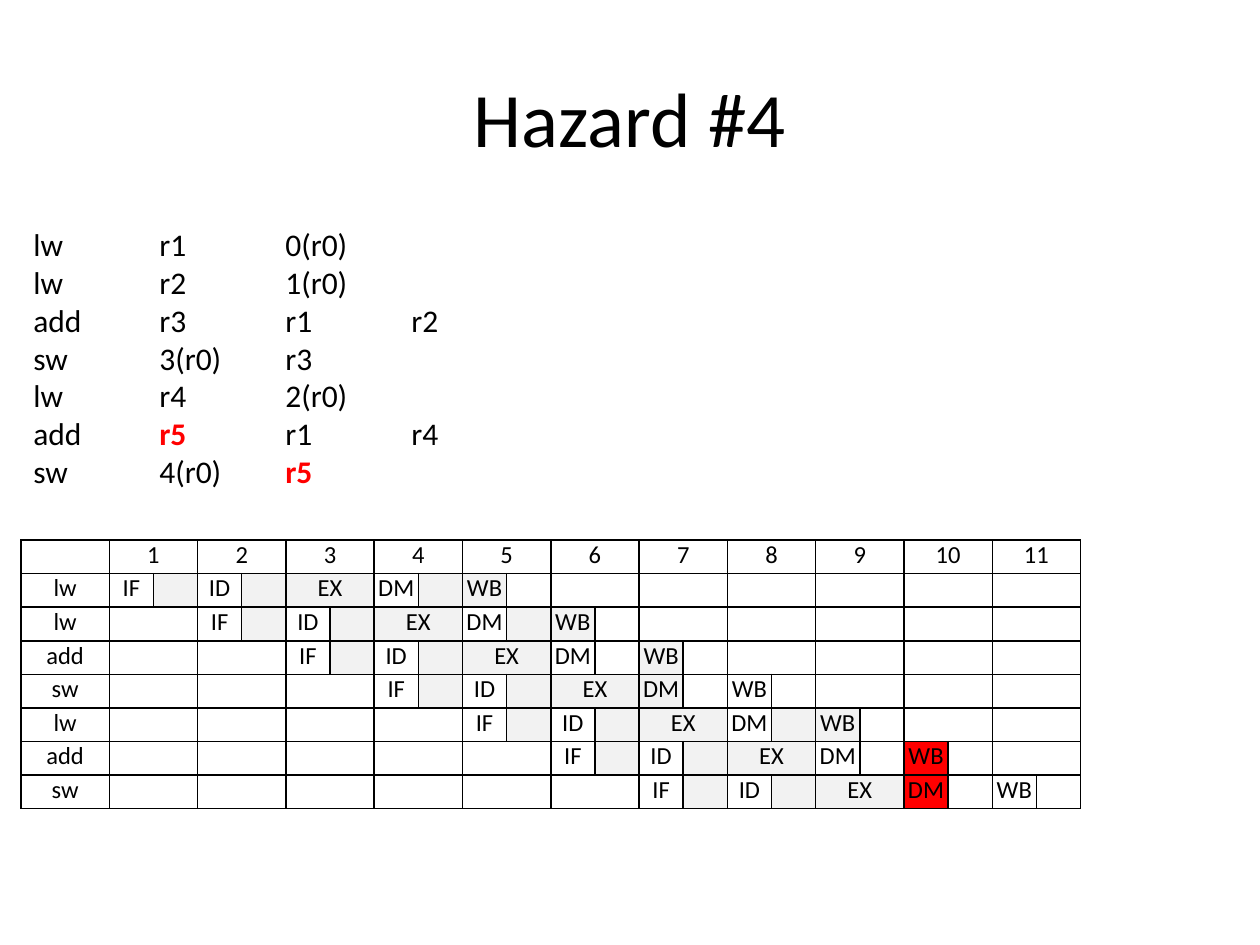
from lxml import etree
from pptx import Presentation
from pptx.dml.color import RGBColor
from pptx.enum.text import MSO_ANCHOR, PP_ALIGN
from pptx.oxml.ns import qn
from pptx.util import Pt

CENTER, LEFT = PP_ALIGN.CENTER, PP_ALIGN.LEFT
TOP, MIDDLE = MSO_ANCHOR.TOP, MSO_ANCHOR.MIDDLE
FONT, BLACK, RED, GREY = "Calibri", "000000", "FF0000", "F2F2F2"

# Content
TITLE = "Hazard #4"
HAZARD_REGISTER = "r5"
PROGRAM = [
    ["lw", "r1", "0(r0)"],
    ["lw", "r2", "1(r0)"],
    ["add", "r3", "r1", "r2"],
    ["sw", "3(r0)", "r3"],
    ["lw", "r4", "2(r0)"],
    ["add", "r5", "r1", "r4"],
    ["sw", "4(r0)", "r5"],
]
CYCLES = 11
STAGES = ["IF", "ID", "EX", "DM", "WB"]
# Fill of the first and second half of each stage
COMMON_FILLS = {"IF": (None, GREY), "ID": (None, GREY), "EX": (GREY, GREY)}
STAGE_FILLS = {
    "lw": {"DM": (None, GREY), "WB": (GREY, None)},
    "add": {"DM": (None, None), "WB": (GREY, None)},
    "sw": {"DM": (GREY, None), "WB": (None, None)},
}
# Instruction number and stage in conflict
HAZARDS = {(6, "WB"), (7, "DM")}

# Places in px: left, top, width, height
TITLE_BOX = (63, 38, 1134, 157)
PROGRAM_BOX = (21, 219, 630, 280)
TABLE_BOX = (21, 540, 1060, 269)
TAB_STEP = 126


def px(value):
    return round(value * 914400 / 126)


def color(value):
    return RGBColor.from_string(value)


def add_run(paragraph, text, size, rgb=BLACK, bold=False):
    run = paragraph.add_run()
    run.text = text
    for name, value in {"name": FONT, "size": Pt(size), "bold": bold}.items():
        setattr(run.font, name, value)
    run.font.color.rgb = color(rgb)


def add_text_box(slide, box, anchor):
    frame = slide.shapes.add_textbox(*map(px, box)).text_frame
    frame.word_wrap = True
    frame.vertical_anchor = anchor
    return frame


def add_tab_stops(paragraph, count):
    properties = paragraph._p.get_or_add_pPr()
    tab_list = etree.SubElement(properties, qn("a:tabLst"))
    for number in range(1, count + 1):
        position = str(px(number * TAB_STEP))
        etree.SubElement(tab_list, qn("a:tab"), pos=position, algn="l")


def add_borders(cell):
    properties = cell._tc.get_or_add_tcPr()
    for side in ("a:lnL", "a:lnR", "a:lnT", "a:lnB"):
        line = etree.SubElement(properties, qn(side), w=str(Pt(1)))
        fill = etree.SubElement(line, qn("a:solidFill"))
        etree.SubElement(fill, qn("a:srgbClr"), val=BLACK)


def format_cell(cell):
    add_borders(cell)
    for side in ("left", "right", "top", "bottom"):
        setattr(cell, f"margin_{side}", 0)
    cell.fill.background()
    paragraph = cell.text_frame.paragraphs[0]
    paragraph.alignment = CENTER
    # Keeps empty cells from stretching their row
    etree.SubElement(paragraph._p, qn("a:endParaRPr"), sz="1400")


def fill_cell(cell, text="", fill=None):
    if fill:
        cell.fill.solid()
        cell.fill.fore_color.rgb = color(fill)
    if text:
        add_run(cell.text_frame.paragraphs[0], text, 14)


def add_pipeline(slide):
    row_count, column_count = len(PROGRAM) + 1, 2 * CYCLES + 1
    frame = slide.shapes.add_table(row_count, column_count, *map(px, TABLE_BOX))
    table = frame.table
    table.first_row = table.horz_banding = False

    # The label column is as wide as one cycle, which is two half columns
    half = px(TABLE_BOX[2]) // (2 * CYCLES + 2)
    for index, column in enumerate(table.columns):
        column.width = half if index else 2 * half
    for row in table.rows:
        row.height = px(TABLE_BOX[3]) // row_count
    for cell in table.iter_cells():
        format_cell(cell)

    def fill_cycle(row, cycle, text="", fills=(None, None), split=False):
        first, second = (table.cell(row, 2 * cycle - 1 + i) for i in range(2))
        if split:
            fill_cell(second, fill=fills[1])
        else:
            first.merge(second)
        fill_cell(first, text, fills[0])

    # Header
    for cycle in range(1, CYCLES + 1):
        fill_cycle(0, cycle, str(cycle))

    # Each instruction starts one cycle after the one above
    for number, (operation, *_) in enumerate(PROGRAM, 1):
        fill_cell(table.cell(number, 0), operation)
        stage_fills = COMMON_FILLS | STAGE_FILLS[operation]
        stage_at = dict(enumerate(STAGES, number))
        for cycle in range(1, CYCLES + 1):
            stage = stage_at.get(cycle)
            if not stage:
                fill_cycle(number, cycle)
                continue
            fills = stage_fills[stage]
            if (number, stage) in HAZARDS:
                fills = (RED, None)
            fill_cycle(number, cycle, stage, fills, split=stage != "EX")


def main():
    presentation = Presentation()
    presentation.slide_width, presentation.slide_height = px(1260), px(945)
    slide = presentation.slides.add_slide(presentation.slide_layouts[6])

    # Title
    paragraph = add_text_box(slide, TITLE_BOX, MIDDLE).paragraphs[0]
    paragraph.alignment = CENTER
    add_run(paragraph, TITLE, 44)

    add_pipeline(slide)

    # Program listing, one tab stop per operand
    frame = add_text_box(slide, PROGRAM_BOX, TOP)
    for index, parts in enumerate(PROGRAM):
        paragraph = frame.add_paragraph() if index else frame.paragraphs[0]
        paragraph.alignment = LEFT
        add_tab_stops(paragraph, len(parts) - 1)
        for position, part in enumerate(parts):
            hazard = part == HAZARD_REGISTER
            text = "\t" + part if position else part
            add_run(paragraph, text, 18, RED if hazard else BLACK, hazard)

    presentation.save("out.pptx")


if __name__ == "__main__":
    main()
